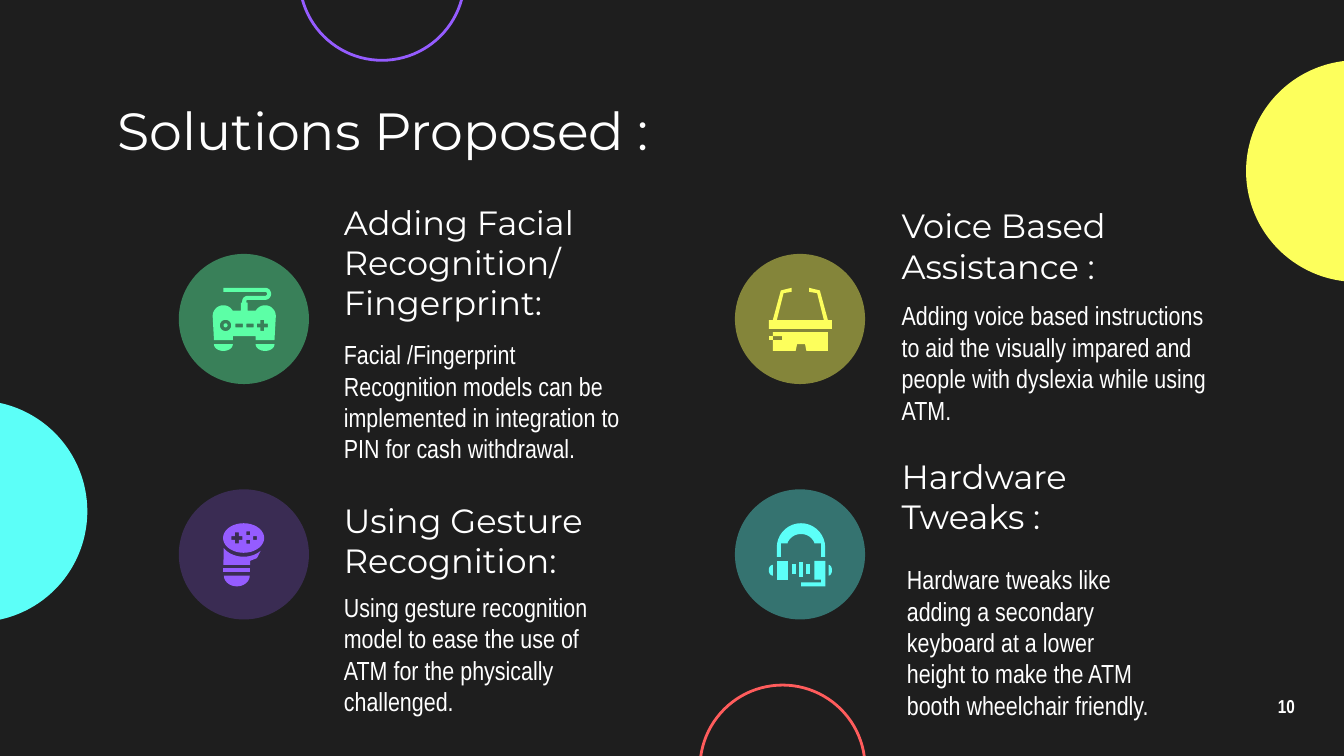
import math

from lxml import etree
from pptx import Presentation
from pptx import util as u
from pptx.dml.color import RGBColor
from pptx.enum import shapes, text
from pptx.oxml import ns

BACKGROUND = RGBColor(0x1E, 0x1E, 0x1E)
WHITE = RGBColor(0xFF, 0xFF, 0xFF)
GREEN = RGBColor(0x5C, 0xFF, 0xA6)
PURPLE = RGBColor(0x95, 0x5C, 0xFF)
YELLOW = RGBColor(0xFD, 0xFF, 0x5C)
CYAN = RGBColor(0x5C, 0xFF, 0xF8)
RED = RGBColor(0xFF, 0x5C, 0x5C)

HEADING_FONT = "Montserrat"
BODY_FONT = "Arial Narrow"
COLUMNS = (3.38, 13.89)
ROWS = (4.8, 9.25)
BADGE_SIZE = 2.46
ICON_INSET = 0.64
ICON_UNIT = 0.0254
GRAIN = 100


def arc(x, y, radius_x, radius_y, start, end):
    steps = max(8, round(abs(end - start) / 10))
    angles = [math.radians(start + (end - start) * i / steps) for i in range(steps + 1)]
    return [(x + radius_x * math.cos(a), y + radius_y * math.sin(a)) for a in angles]


def ellipse(x, y, radius_x, radius_y):
    return arc(x, y, radius_x, radius_y, 0, 360)


def rectangle(x, y, width, height):
    return [(x, y), (x + width, y), (x + width, y + height), (x, y + height)]


def plus(x, y, arm, half):
    corner = [(half, -arm), (half, -half), (arm, -half)]
    points = []
    for _ in range(4):
        points += [(x + dx, y + dy) for dx, dy in corner]
        corner = [(-dy, dx) for dx, dy in corner]
    return points


def controller_icon():
    body = [(8, 0), (8, 3), *arc(39, 4.5, 1.5, 1.5, -90, 90),
            *arc(26, 10, 4, 4, 270, 180), (22, 11), (21, 11), (21, 17),
            *arc(8, 21, 8, 8, -30, -180), (1, 39), (15, 39), (15, 36),
            (32, 36), (32, 39), (46, 39), *arc(39, 21, 8, 8, 0, -150),
            (26, 17), (26, 11), (25, 11), *arc(26, 10, 1, 1, 180, 270),
            *arc(39, 4.5, 4.5, 4.5, 90, -90)]
    buttons = [rectangle(x, 26.6, 5.4, 2.8) for x in (17, 25)]
    return [
        [body, *buttons, ellipse(9.6, 28, 4.2, 4.2), plus(37, 28, 4.1, 1.4)],
        [ellipse(9.6, 28, 1.5, 1.5)],
        *[[arc(x, 42, 7, 5, 0, 180)] for x in (39, 8)],
    ]


def glasses_icon():
    left = [(17, 0), (9, 2), (3, 24), (0, 24), (0, 30.5)]
    inner = [(17, 3), (11, 4), (6, 24)]
    frame = [*left, *mirror(left), *mirror(inner)[::-1][::-1], *inner[::-1]]
    lens = [(3, 33), (3, 36), (10, 36), (10, 39), (3, 39), (3, 47), (20, 47),
            (21, 42), (27, 42), (28, 47), (44, 47), (44, 33)]
    return [[frame], [lens], [rectangle(0, 36, 3, 3)]]


def mirror(points):
    return [(47 - x, y) for x, y in reversed(points)] if len(points) > 3 else [
        (47 - x, y) for x, y in points]


def headset_icon():
    band = [*arc(24, 18, 18, 18, 180, 360), (42, 25), (39, 25), (39, 15), (34, 15),
            *arc(24, 19, 11, 11, -27, -153), (14, 15), (9, 15), (9, 25), (6, 25)]
    microphone = [(34, 28), (34, 42), (39, 42), (39, 44), (24, 44), (24, 47),
                  (42, 47), (42, 28)]
    bars = [rectangle(17, 30, 3, 8), rectangle(22.4, 29, 3, 11), rectangle(28, 30, 3, 8)]
    ears = [arc(3, 35, 3, 4, 90, 270), arc(44.5, 35, 2.5, 4, -90, 90)]
    return [[part] for part in (*bars, *ears, rectangle(6, 28, 8, 14), band, microphone)]


def joystick_icon():
    handle = [(8, 31), (28, 31), (28, 28), (33, 26), *arc(23, 10, 18, 15, 45, 145)]
    buttons = [rectangle(x, y, 2.8, 2.8) for x, y in ((25, 6), (30, 9.6), (25, 12.4))]
    return [
        [rectangle(8, 33.3, 20, 2.7)],
        [arc(18, 39, 9.6, 8, 0, 180)],
        [handle],
        [ellipse(23, 11, 15.3, 11), *buttons, plus(18, 11, 4.1, 1.4)],
    ]


def add_circle(slide, left, top, size, fill=None, line=None, opacity=100):
    shape = slide.shapes.add_shape(
        shapes.MSO_SHAPE.OVAL, u.Cm(left), u.Cm(top), u.Cm(size), u.Cm(size))
    shape.shadow.inherit = False
    if fill is None:
        shape.fill.background()
    else:
        shape.fill.solid()
        shape.fill.fore_color.rgb = fill
    if line is None:
        shape.line.fill.background()
    else:
        shape.line.color.rgb = line
        shape.line.width = u.Pt(1.5)
    if opacity < 100:
        color = shape.fill._xPr.find(".//" + ns.qn("a:srgbClr"))
        etree.SubElement(color, ns.qn("a:alpha"), val=str(opacity * 1000))


def add_icon(slide, left, top, parts, color):
    for outlines in parts:
        scaled = [[(x * GRAIN, y * GRAIN) for x, y in outline] for outline in outlines]
        builder = slide.shapes.build_freeform(
            *scaled[0][0], scale=u.Cm(ICON_UNIT) / GRAIN)
        builder.add_line_segments(scaled[0][1:], close=True)
        for outline in scaled[1:]:
            builder.move_to(*outline[0])
            builder.add_line_segments(outline[1:], close=True)
        shape = builder.convert_to_shape(u.Cm(left), u.Cm(top))
        shape.shadow.inherit = False
        shape.fill.solid()
        shape.fill.fore_color.rgb = color
        shape.line.fill.background()


def add_text(slide, box, content, font, size):
    shape = slide.shapes.add_textbox(*map(u.Cm, box))
    frame = shape.text_frame
    frame.word_wrap = True
    frame.vertical_anchor = text.MSO_ANCHOR.MIDDLE
    frame.margin_left = frame.margin_right = u.Cm(0.25)
    frame.margin_top = frame.margin_bottom = u.Cm(0.25)
    frame.text = content
    paragraph = frame.paragraphs[0]
    paragraph.font.name = font
    paragraph.font.size = u.Pt(size)
    paragraph.font.color.rgb = WHITE
    return paragraph


def add_solution(slide, column, row, color, opacity, icon, heading, heading_box, body, body_box):
    left, top = COLUMNS[column], ROWS[row]
    add_text(slide, heading_box, heading, HEADING_FONT, 18)
    add_text(slide, body_box, body, BODY_FONT, 14)
    add_circle(slide, left, top, BADGE_SIZE, fill=color, opacity=opacity)
    add_icon(slide, left + ICON_INSET, top + ICON_INSET, icon, color)


def main():
    presentation = Presentation()
    presentation.slide_width, presentation.slide_height = u.Cm(25.4), u.Cm(14.29)
    slide = presentation.slides.add_slide(presentation.slide_layouts[6])
    slide.background.fill.solid()
    slide.background.fill.fore_color.rgb = BACKGROUND

    add_circle(slide, -2.54, 7.57, 4.19, fill=CYAN)
    add_circle(slide, 23.55, 1.14, 4.19, fill=YELLOW)
    add_circle(slide, 5.66, -1.98, 3.12, line=PURPLE)
    add_circle(slide, 13.23, 12.95, 3.12, line=RED)

    number = add_text(slide, (23.55, 12.95, 1.52, 0.86), "10", BODY_FONT, 10)
    number.alignment = text.PP_ALIGN.CENTER
    number.line_spacing = 0.8
    number.font.bold = True
    add_text(slide, (1.98, 1.8, 21.44, 1.3), "Solutions Proposed :", HEADING_FONT, 28)

    add_solution(
        slide, 0, 0, GREEN, 44, controller_icon(),
        "Adding Facial Recognition/ Fingerprint:", (6.25, 4.32, 5.56, 1.27),
        "Facial /Fingerprint Recognition models can be implemented in integration to "
        "PIN for cash withdrawal.", (6.25, 6.22, 5.97, 2.74))
    add_solution(
        slide, 1, 0, YELLOW, 46, glasses_icon(),
        "Voice Based Assistance :", (16.79, 4.01, 5.23, 1.27),
        "Adding voice based instructions to aid the visually impared and people with "
        "dyslexia while using ATM.", (16.79, 5.79, 6.43, 2.13))
    add_solution(
        slide, 0, 1, PURPLE, 24, joystick_icon(),
        "Using Gesture Recognition:", (6.25, 9.58, 5.56, 1.27),
        "Using gesture recognition model to ease the use of ATM for the physically "
        "challenged.", (6.25, 11.3, 5.56, 2.13))
    add_solution(
        slide, 1, 1, CYAN, 38, headset_icon(),
        "Hardware Tweaks :", (16.79, 8.74, 5.23, 1.27),
        "Hardware tweaks like adding a secondary keyboard at a lower height to make "
        "the ATM booth wheelchair friendly.", (16.89, 11.07, 5.23, 2.13))

    presentation.save("out.pptx")


if __name__ == "__main__":
    main()
